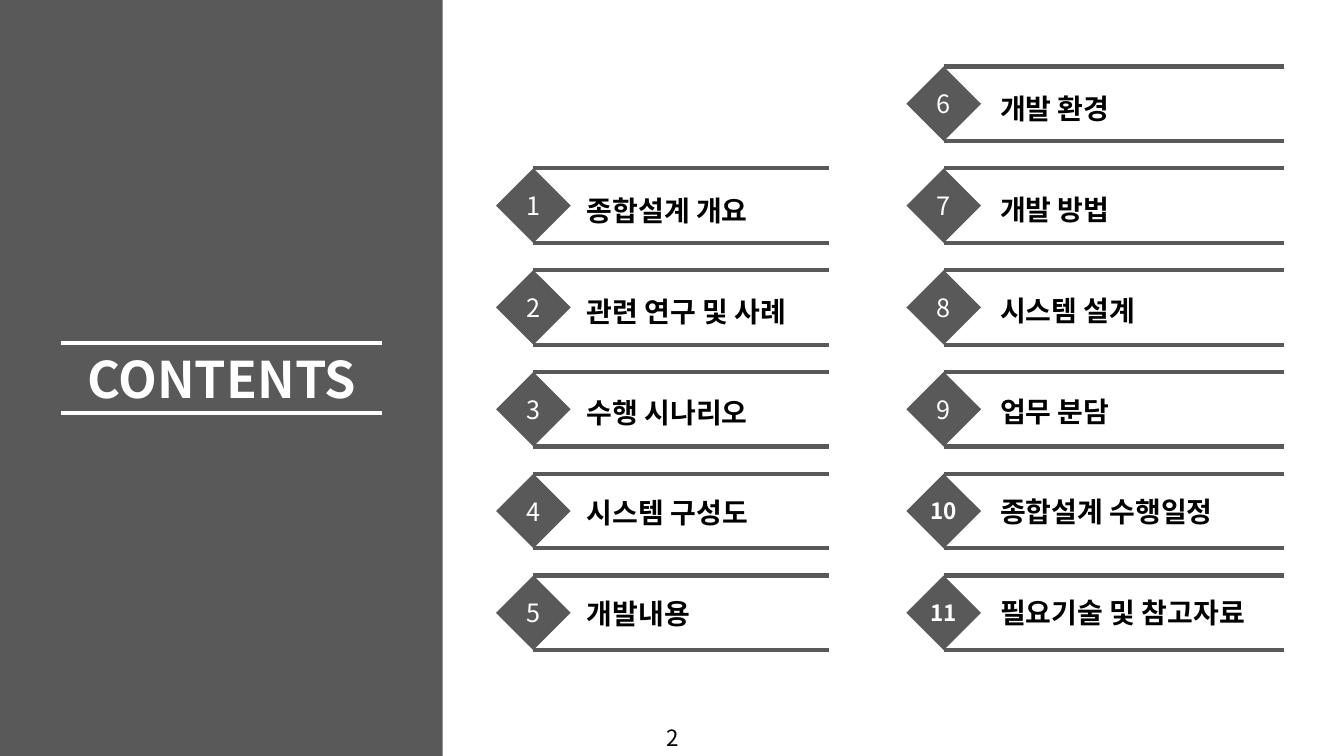
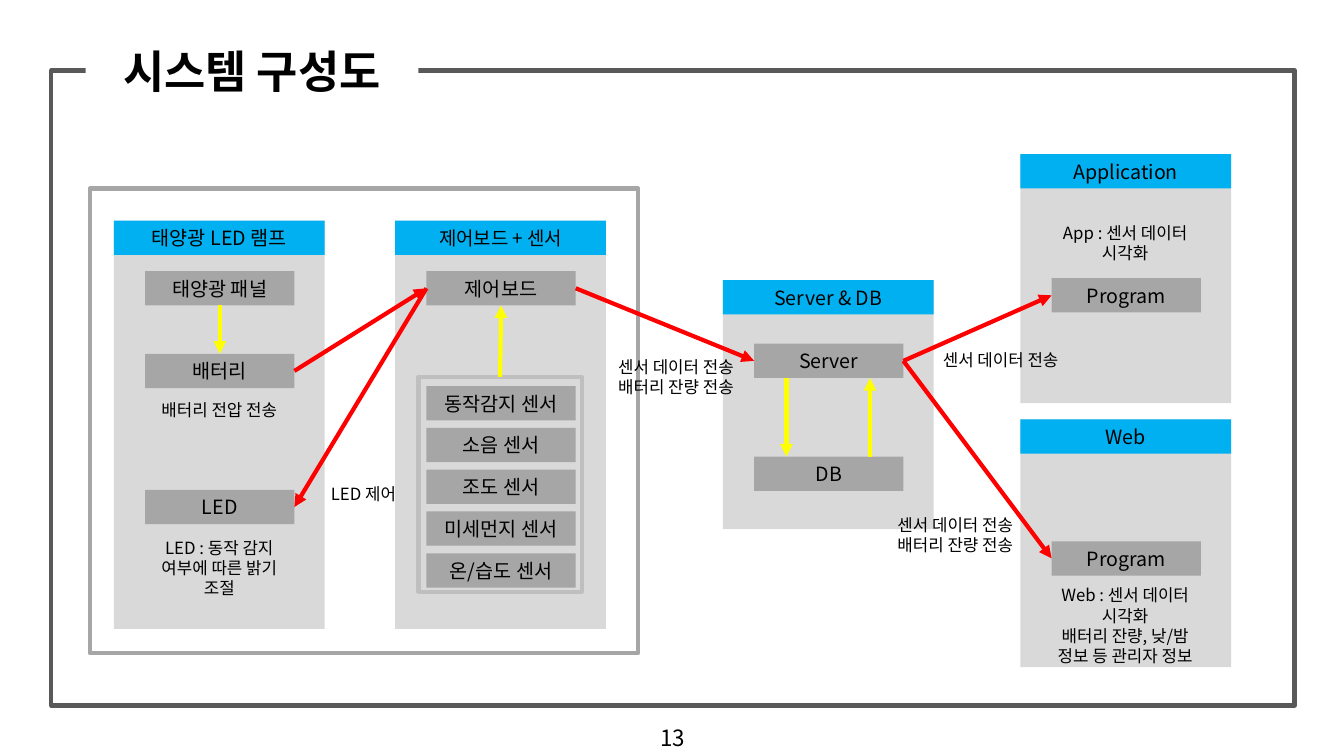
from lxml.etree import SubElement
from pptx import Presentation
from pptx.dml.color import RGBColor
from pptx.enum.shapes import MSO_CONNECTOR, MSO_SHAPE
from pptx.enum.text import MSO_ANCHOR, MSO_AUTO_SIZE, PP_ALIGN
from pptx.oxml.ns import qn
from pptx.util import Inches, Pt

COLORS = {
    "dark": "595959", "white": "FFFFFF", "black": "000000",
    "panel": "D9D9D9", "node": "A6A6A6", "frame": "BFBFBF",
    "heading": "00B0F0", "data": "FF0000", "local": "FFFF00",
}
FONT = "Noto Sans CJK KR"
LINE_WIDTH = Pt(3)
TOP, LEFT, BOTTOM, RIGHT = range(4)
ROW_TOP, ROW_PITCH, ROW_HEIGHT = 0.66, 1.01, 0.74
NODE_WIDTH, BAR_HEIGHT, PANEL_WIDTH = 1.48, 0.34, 2.09


def rgb(name):
    return RGBColor.from_string(COLORS[name])


def write(shape, text, size=14, color="black", bold=False, align=PP_ALIGN.CENTER,
          anchor=MSO_ANCHOR.MIDDLE, gap=0, wrap=True):
    """Fill a shape with text, one paragraph per line, gap points apart."""
    frame = shape.text_frame
    frame.auto_size = MSO_AUTO_SIZE.NONE
    frame.word_wrap = wrap
    frame.vertical_anchor = anchor
    frame.margin_left = frame.margin_right = Inches(0.1)
    frame.margin_top = frame.margin_bottom = Inches(0.05)
    for index, line in enumerate(text.split("\n")):
        paragraph = frame.add_paragraph() if index else frame.paragraphs[0]
        paragraph.alignment = align
        paragraph.space_before = Pt(gap if index else 0)
        run = paragraph.add_run()
        run.text = line
        run.font.size = Pt(size)
        run.font.bold = bold
        run.font.color.rgb = rgb(color)
        run.font.name = FONT
        SubElement(run._r.get_or_add_rPr(), qn("a:ea"), typeface=FONT)


def add_box(slide, x, y, width, height, fill=None, line=None, kind=MSO_SHAPE.RECTANGLE):
    shape = slide.shapes.add_shape(kind, Inches(x), Inches(y), Inches(width), Inches(height))
    shape.shadow.inherit = False
    if fill:
        shape.fill.solid()
        shape.fill.fore_color.rgb = rgb(fill)
    else:
        shape.fill.background()
    if line:
        shape.line.color.rgb = rgb(line)
        shape.line.width = LINE_WIDTH
    else:
        shape.line.fill.background()
    return shape


def add_label(slide, text, x, y, width, height, **style):
    label = slide.shapes.add_textbox(Inches(x), Inches(y), Inches(width), Inches(height))
    write(label, text, **style)


def add_line(slide, color, start=(0, 0), end=(0, 0), arrow=False):
    line = slide.shapes.add_connector(
        MSO_CONNECTOR.STRAIGHT, *(Inches(value) for value in (*start, *end)))
    line.line.color.rgb = rgb(color)
    line.line.width = LINE_WIDTH
    if arrow:
        SubElement(line.line._get_or_add_ln(), qn("a:tailEnd"), type="triangle")
    SubElement(line.element.spPr, qn("a:effectLst"))
    return line


def join(slide, color, source, source_side, target, target_side):
    arrow = add_line(slide, color, arrow=True)
    arrow.begin_connect(source, source_side)
    arrow.end_connect(target, target_side)


def place_title(slide, text, x, y, width, height, fill=None, **style):
    """Format the title placeholder and bring it in front of what is drawn so far."""
    title = slide.shapes.title
    title.left, title.top = Inches(x), Inches(y)
    title.width, title.height = Inches(width), Inches(height)
    if fill:
        title.fill.solid()
        title.fill.fore_color.rgb = rgb(fill)
    write(title, text, bold=True, **style)
    title.element.getparent().append(title.element)


def add_slide(presentation, page):
    slide = presentation.slides.add_slide(presentation.slide_layouts[5])
    add_label(slide, page, 6.39, 7.13, 0.56, 0.37, size=16)
    return slide


def add_contents_column(slide, x, line_width, first_row, first_number, label_shift, items):
    top = ROW_TOP + first_row * ROW_PITCH
    for index in range(len(items)):
        y = top + index * ROW_PITCH
        number = first_number + index
        two_digits = number > 9
        diamond = add_box(slide, x, y, ROW_HEIGHT, ROW_HEIGHT, "dark", kind=MSO_SHAPE.DIAMOND)
        write(diamond, str(number), size=16 if two_digits else 18, color="white",
              bold=two_digits, wrap=False)
        line_x = x + ROW_HEIGHT / 2
        for line_y in (y, y + ROW_HEIGHT):
            add_line(slide, "dark", (line_x, line_y), (line_x + line_width, line_y))
    add_label(slide, "\n".join(items), x + label_shift, top + 0.2, 3.18,
              len(items) * ROW_PITCH - 0.57, size=20, bold=True, gap=48,
              align=PP_ALIGN.LEFT, anchor=MSO_ANCHOR.TOP)


def build_contents(presentation):
    slide = add_slide(presentation, "2")
    add_box(slide, 0, 0, 4.39, 7.5, "dark")
    place_title(slide, "CONTENTS", 0.08, 3.4, 4.24, 0.71, size=36, color="white")
    for y in (3.4, 4.1):
        add_line(slide, "white", (0.61, y), (3.79, y))
    add_contents_column(slide, 4.92, 2.93, 1, 1, 0.8, [
        "종합설계 개요", "관련 연구 및 사례", "수행 시나리오", "시스템 구성도", "개발내용"])
    add_contents_column(slide, 8.99, 3.38, 0, 6, 0.83, [
        "개발 환경", "개발 방법", "시스템 설계", "업무 분담", "종합설계 수행일정",
        "필요기술 및 참고자료"])


def add_panel(slide, x, y, height, heading, nodes, heading_size=14):
    """Draw a headed panel with (text, offset from top) nodes and return the nodes."""
    add_box(slide, x, y, PANEL_WIDTH, height, "panel")
    write(add_box(slide, x, y, PANEL_WIDTH, BAR_HEIGHT, "heading"), heading, size=heading_size)
    shapes = []
    for text, offset in nodes:
        node = add_box(slide, x + 0.31, y + offset, NODE_WIDTH, BAR_HEIGHT, "node")
        write(node, text)
        shapes.append(node)
    return shapes


def add_sensor_panel(slide, x, y):
    """Return the controller node and the frame around the sensors."""
    sensors = ["동작감지 센서", "소음 센서", "조도 센서", "미세먼지 센서", "온/습도 센서"]
    pitch = 1.66 / (len(sensors) - 1)
    nodes = [("제어보드", 0.5)]
    nodes += [(sensor, 1.64 + index * pitch) for index, sensor in enumerate(sensors)]
    controller = add_panel(slide, x, y, 4.05, "제어보드 + 센서", nodes, heading_size=13.5)[0]
    return controller, add_box(slide, x + 0.23, y + 1.55, 1.62, 2.13, line="frame")


def build_system(presentation):
    slide = add_slide(presentation, "13")
    add_box(slide, 0.51, 0.7, 12.33, 6.3, line="dark")
    place_title(slide, "시스템 구성도", 0.85, 0.38, 3.3, 0.64, fill="white", size=32)

    add_box(slide, 0.89, 1.87, 5.44, 4.61, line="node")
    solar, battery, led = add_panel(slide, 1.13, 2.19, 4.05, "태양광 LED 램프", [
        ("태양광 패널", 0.5), ("배터리", 1.32), ("LED", 2.67)])
    controller, sensor_frame = add_sensor_panel(slide, 3.92, 2.19)
    server, _ = add_panel(slide, 7.17, 2.78, 2.47, "Server & DB", [
        ("Server", 0.63), ("DB", 1.75)])
    app, = add_panel(slide, 10.12, 1.53, 2.47, "Application", [("Program", 1.23)])
    web, = add_panel(slide, 10.12, 4.16, 2.46, "Web", [("Program", 1.21)])

    for link in (
        ("data", controller, LEFT, led, RIGHT),
        ("data", battery, RIGHT, controller, LEFT),
        ("data", controller, RIGHT, server, LEFT),
        ("data", server, RIGHT, app, LEFT),
        ("data", server, RIGHT, web, LEFT),
        ("local", solar, BOTTOM, battery, TOP),
        ("local", sensor_frame, TOP, controller, BOTTOM),
    ):
        join(slide, *link)
    add_line(slide, "local", (7.8, 3.75), (7.8, 4.53), arrow=True)
    add_line(slide, "local", (8.63, 4.53), (8.63, 3.75), arrow=True)

    for text, x, y, width, height in (
        ("배터리 전압 전송", 1.37, 3.92, 1.61, 0.3),
        ("LED 제어", 2.8, 4.75, 1.61, 0.3),
        ("LED : 동작 감지 여부에 따른 밝기 조절", 1.37, 5.28, 1.61, 0.71),
        ("센서 데이터 전송\n배터리 잔량 전송", 5.9, 3.49, 1.61, 0.5),
        ("센서 데이터 전송", 9.12, 3.42, 1.61, 0.3),
        ("센서 데이터 전송\n배터리 잔량 전송", 8.67, 5.06, 1.61, 0.5),
        ("App : 센서 데이터 시각화", 10.26, 2.16, 1.8, 0.5),
        ("Web : 센서 데이터 시각화\n배터리 잔량, 낮/밤 정보 등 관리자 정보", 10.26, 5.75, 1.8, 0.91),
    ):
        add_label(slide, text, x, y, width, height, size=12)


def main():
    presentation = Presentation()
    presentation.slide_width = Inches(13.33)
    presentation.slide_height = Inches(7.5)
    build_contents(presentation)
    build_system(presentation)
    presentation.save("out.pptx")


if __name__ == "__main__":
    main()
